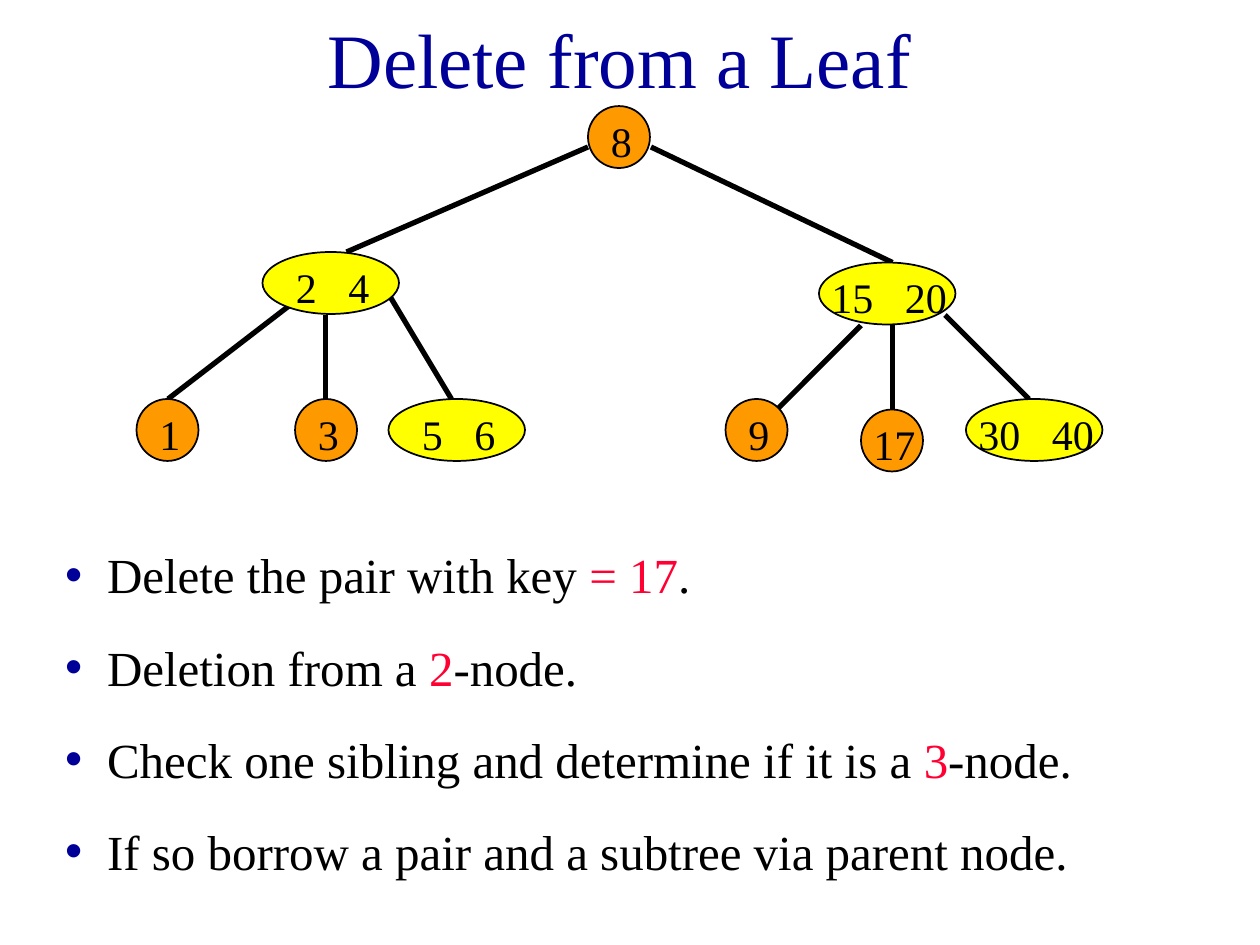
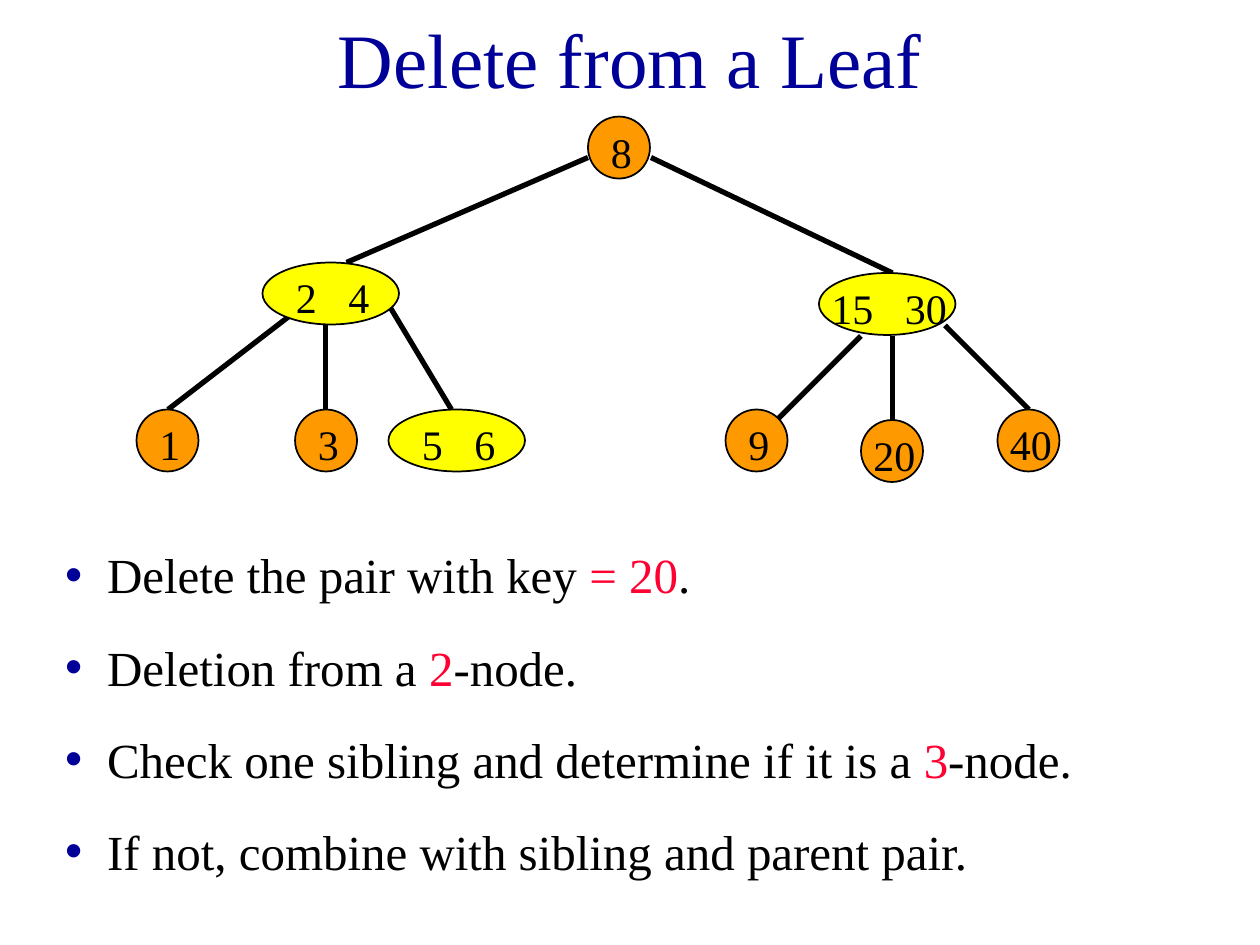
"""Build two slides on deleting a key from a leaf of a 2-3 tree."""
from dataclasses import dataclass

from lxml import etree
from pptx import Presentation
from pptx.dml.color import RGBColor
from pptx.enum.shapes import MSO_CONNECTOR, MSO_SHAPE
from pptx.enum.text import MSO_ANCHOR, MSO_AUTO_SIZE, PP_ALIGN
from pptx.oxml.ns import qn
from pptx.util import Pt

ELLIPSE = MSO_SHAPE.OVAL
STRAIGHT = MSO_CONNECTOR.STRAIGHT
MIDDLE = MSO_ANCHOR.MIDDLE
TOP = MSO_ANCHOR.TOP
CENTER = PP_ALIGN.CENTER
LEFT = PP_ALIGN.LEFT
NO_AUTOFIT = MSO_AUTO_SIZE.NONE

EMU_PER_PX = 7620
FONT = "Times New Roman"
COLORS = {
    "title": "000099",
    "text": "000000",
    "highlight": "FF0033",
    "line": "000000",
    "two_node": "FF9900",
    "three_node": "FFFF00",
}
NODE_HEIGHT = 59
NODE_WIDTHS = {1: 59, 2: 130}
DIGIT_WIDTH = 20
KEY_GAP = 30
LIST_INDENT = 40
TITLE = "Delete from a Leaf"


@dataclass(frozen=True)
class Node:
    """A tree node with one or two keys."""

    keys: tuple[str, ...]
    left: int
    top: int


@dataclass(frozen=True)
class Edge:
    """A line from a parent to a child."""

    start: tuple[int, int]
    end: tuple[int, int]


@dataclass(frozen=True)
class TreeSlide:
    """What differs between slides; bars in bullets enclose highlights."""

    title_left: int
    tree_drop: int
    right_nodes: tuple[Node, ...]
    deleted_key: str
    last_bullet: str


SHARED_NODES = (
    Node(("8",), 560, 101),
    Node(("2", "4"), 250, 240),
    Node(("1",), 130, 380),
    Node(("3",), 281, 380),
    Node(("5", "6"), 370, 380),
    Node(("9",), 691, 380),
)
EDGES = (
    Edge((560, 140), (330, 240)),
    Edge((620, 140), (850, 250)),
    Edge((290, 280), (160, 380)),
    Edge((310, 300), (310, 380)),
    Edge((370, 280), (430, 380)),
    Edge((820, 310), (740, 390)),
    Edge((850, 310), (850, 390)),
    Edge((900, 300), (980, 380)),
)
SLIDES = (
    TreeSlide(
        80,
        0,
        (
            Node(("15", "20"), 780, 250),
            Node(("17",), 820, 390),
            Node(("30", "40"), 920, 380),
        ),
        "17",
        "If so borrow a pair and a subtree via parent node.",
    ),
    TreeSlide(
        90,
        10,
        (
            Node(("15", "30"), 780, 250),
            Node(("20",), 820, 390),
            Node(("40",), 950, 380),
        ),
        "20",
        "If not, combine with sibling and parent pair.",
    ),
)


def px(length: int) -> int:
    """Turn px into EMU."""
    return length * EMU_PER_PX


def place(shape, left: int, top: int, width: int, height: int) -> None:
    """Move and size a shape in px."""
    shape.left, shape.top = px(left), px(top)
    shape.width, shape.height = px(width), px(height)


def format_run(run, size: int, color: str) -> None:
    """Set the font of a run."""
    run.font.name = FONT
    run.font.size = Pt(size)
    run.font.color.rgb = RGBColor.from_string(COLORS[color])


def set_frame(text_frame, anchor, top_margin: int = 6) -> None:
    """Set wrapping, anchor and margins of a text frame."""
    text_frame.word_wrap = True
    text_frame.auto_size = NO_AUTOFIT
    text_frame.vertical_anchor = anchor
    text_frame.margin_left = text_frame.margin_right = px(12)
    text_frame.margin_top = px(top_margin)
    text_frame.margin_bottom = px(6)


def draw_title(slide, left: int) -> None:
    """Fill the title placeholder."""
    title = slide.shapes.title
    place(title, left, 0, 1020, 110)
    set_frame(title.text_frame, MIDDLE)
    title.text_frame.text = TITLE
    paragraph = title.text_frame.paragraphs[0]
    paragraph.alignment = CENTER
    format_run(paragraph.runs[0], 44, "title")


def draw_bullets(slide, bullets: tuple[str, ...]) -> None:
    """Fill the body placeholder with highlighted bullets."""
    body = slide.placeholders[1]
    place(body, 50, 510, 1150, 324)
    text_frame = body.text_frame
    set_frame(text_frame, TOP, 9)
    text_frame.text = "\n".join(bullets)
    for paragraph, bullet in zip(text_frame.paragraphs, bullets):
        paragraph.text = ""
        paragraph.alignment = LEFT
        paragraph.space_before = Pt(19)
        properties = paragraph._p.get_or_add_pPr()
        properties.set("marL", str(px(LIST_INDENT)))
        properties.set("indent", str(-px(LIST_INDENT)))
        bullet_color = etree.SubElement(properties, qn("a:buClr"))
        etree.SubElement(bullet_color, qn("a:srgbClr"), val=COLORS["title"])
        for index, part in enumerate(bullet.split("|")):
            run = paragraph.add_run()
            run.text = part
            format_run(run, 28, "highlight" if index % 2 else "text")


def draw_edge(slide, edge: Edge, drop: int) -> None:
    """Draw one tree edge."""
    (start_x, start_y), (end_x, end_y) = edge.start, edge.end
    connector = slide.shapes.add_connector(
        STRAIGHT, px(start_x), px(start_y + drop), px(end_x), px(end_y + drop)
    )
    connector.line.color.rgb = RGBColor.from_string(COLORS["line"])
    connector.line.width = Pt(3)
    etree.SubElement(connector._element.spPr, qn("a:effectLst"))


def draw_node(slide, node: Node, drop: int) -> None:
    """Draw an ellipse and the label with its keys."""
    top = node.top + drop
    ellipse = slide.shapes.add_shape(
        ELLIPSE,
        px(node.left),
        px(top),
        px(NODE_WIDTHS[len(node.keys)]),
        px(NODE_HEIGHT),
    )
    ellipse.shadow.inherit = False
    ellipse.fill.solid()
    fill = "two_node" if len(node.keys) == 1 else "three_node"
    ellipse.fill.fore_color.rgb = RGBColor.from_string(COLORS[fill])
    ellipse.line.color.rgb = RGBColor.from_string(COLORS["line"])
    ellipse.line.width = Pt(1)

    key_width = DIGIT_WIDTH * len(node.keys[0])
    label_left = node.left + (10 * len(node.keys) if len(node.keys[0]) == 1 else 0)
    label_width = 30 + (key_width + KEY_GAP) * len(node.keys) - KEY_GAP
    label = slide.shapes.add_textbox(px(label_left), px(top), px(label_width), px(60))
    set_frame(label.text_frame, TOP, 9)
    label.text_frame.text = "\t".join(node.keys)
    paragraph = label.text_frame.paragraphs[0]
    format_run(paragraph.runs[0], 24, "text")
    if len(node.keys) > 1:
        tab_list = etree.SubElement(paragraph._p.get_or_add_pPr(), qn("a:tabLst"))
        position = str(px(key_width + KEY_GAP))
        etree.SubElement(tab_list, qn("a:tab"), pos=position, algn="l")


def draw_slide(presentation, content: TreeSlide) -> None:
    """Draw one slide with its title, list and tree."""
    slide = presentation.slides.add_slide(presentation.slide_layouts[1])
    draw_title(slide, content.title_left)
    draw_bullets(
        slide,
        (
            f"Delete the pair with key |= {content.deleted_key}|.",
            "Deletion from a |2|-node.",
            "Check one sibling and determine if it is a |3|-node.",
            content.last_bullet,
        ),
    )
    for edge in EDGES:
        draw_edge(slide, edge, content.tree_drop)
    for node in SHARED_NODES + content.right_nodes:
        draw_node(slide, node, content.tree_drop)


def main() -> None:
    """Build and save the presentation."""
    presentation = Presentation()
    presentation.slide_width, presentation.slide_height = px(1200), px(900)
    for content in SLIDES:
        draw_slide(presentation, content)
    presentation.save("out.pptx")


if __name__ == "__main__":
    main()
